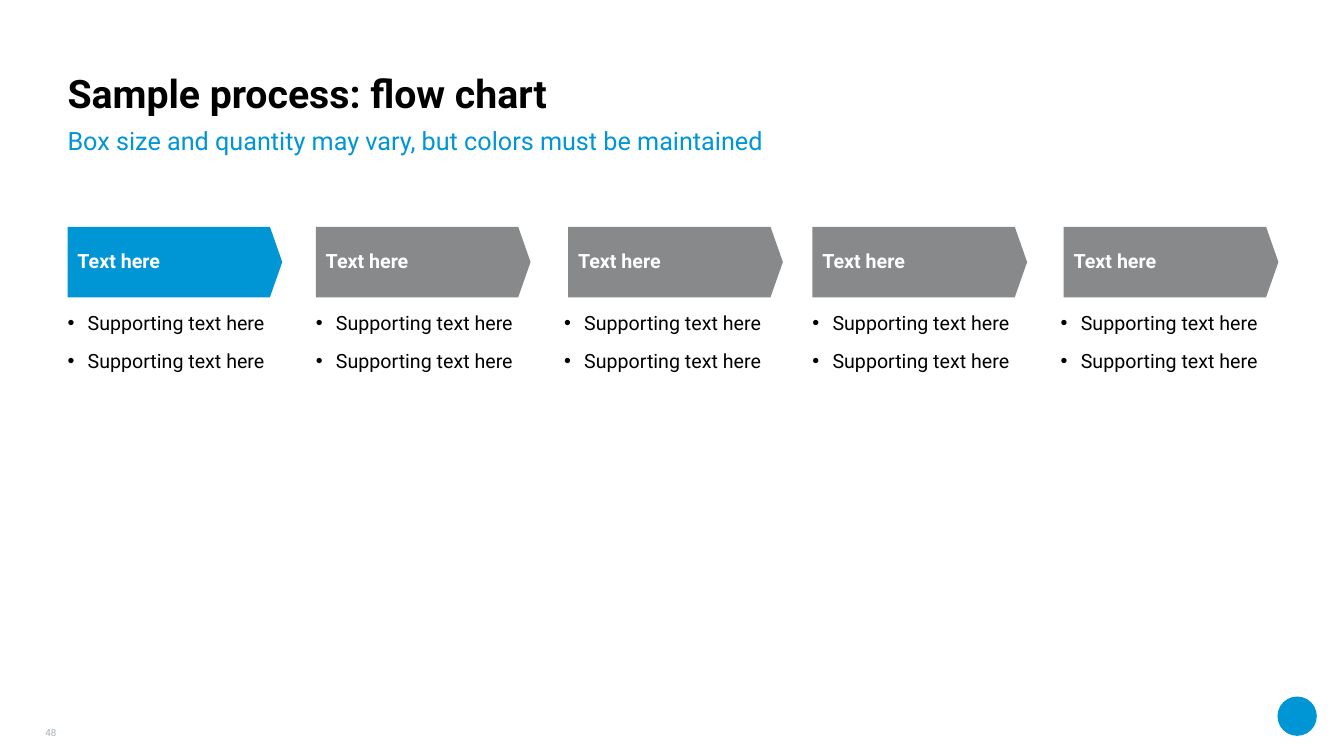
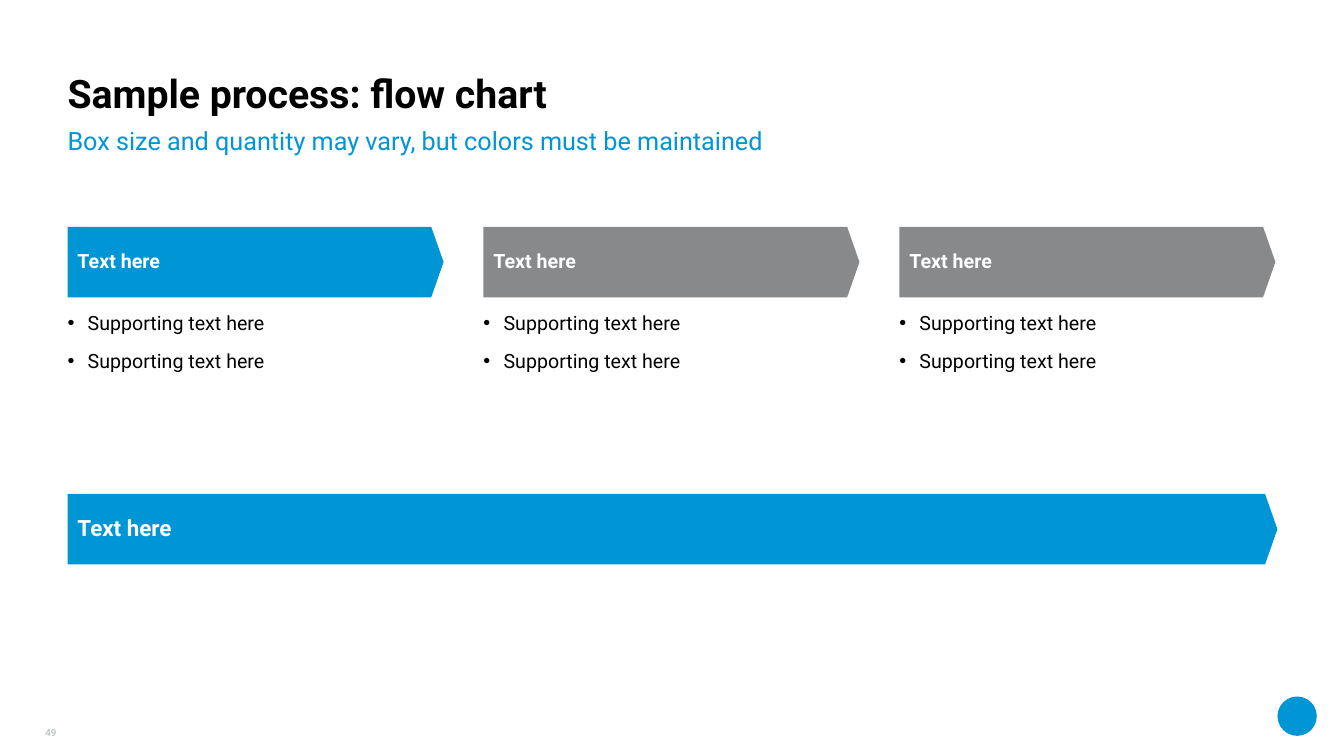
import pptx
import pptx.util
import pptx.dml.color
import pptx.enum.shapes
import pptx.enum.text
import pptx.oxml

Inches = pptx.util.Inches
Pt = pptx.util.Pt
Kind = pptx.enum.shapes.MSO_SHAPE
Align = pptx.enum.text.PP_ALIGN
Anchor = pptx.enum.text.MSO_ANCHOR

HUES = {"blue": "0096D6", "gray": "87898B", "black": "000000",
        "white": "FFFFFF", "pale": "A8B2B2"}
LEFT, RIGHT = 0.67, 12.65
TITLE = "Sample process: flow chart"
LEAD = "Box size and quantity may vary, but colors must be maintained"
LABEL = "Text here"
POINTS = ["Supporting text here"] * 2


def apply(item, values):
    for name, value in values.items():
        setattr(item, name, value)


def color(name):
    return pptx.dml.color.RGBColor.from_string(HUES[name])


class Deck:
    font = "Roboto"

    def __init__(self):
        self.prs = pptx.Presentation()
        apply(self.prs, {"slide_width": Inches(13.33),
                         "slide_height": Inches(7.5)})
        self.slide = None

    def label(self, shape, lines, size, hue, bold=False, anchor=Anchor.TOP,
              pad=(0, 0, 0, 0), form=None, mark=False):
        frame = shape.text_frame
        sides = ("margin_left", "margin_top", "margin_right", "margin_bottom")
        apply(frame, dict(zip(sides, map(Inches, pad))))
        apply(frame, {"word_wrap": True, "vertical_anchor": anchor,
                      "auto_size": pptx.enum.text.MSO_AUTO_SIZE.NONE})
        for row, line in enumerate(lines):
            para = frame.add_paragraph() if row else frame.paragraphs[0]
            if mark:
                self.bullet(para, hue)
            apply(para, {"alignment": Align.LEFT, **(form or {})})
            if row:
                para.space_before = Pt(12)
            run = para.add_run()
            run.text = line
            apply(run.font, {"name": self.font, "size": Pt(size),
                             "bold": bold})
            run.font.color.rgb = color(hue)

    def bullet(self, para, hue):
        props = para._p.get_or_add_pPr()
        props.set("marL", str(Inches(0.2)))
        props.set("indent", str(Inches(-0.2)))
        space = 'xmlns:a="http://schemas.openxmlformats.org/drawingml/2006/main"'
        for xml in (f'<a:buClr {space}><a:srgbClr val="{HUES[hue]}"/></a:buClr>',
                    f'<a:buFont {space} typeface="Arial"/>',
                    f'<a:buChar {space} char="•"/>'):
            props.append(pptx.oxml.parse_xml(xml))

    def text(self, box, lines, size, hue, **style):
        shape = self.slide.shapes.add_textbox(*map(Inches, box))
        self.label(shape, lines, size, hue, **style)

    def shape(self, kind, box, hue):
        shape = self.slide.shapes.add_shape(kind, *map(Inches, box))
        shape.shadow.inherit = False
        shape.fill.solid()
        shape.fill.fore_color.rgb = color(hue)
        shape.line.fill.background()
        return shape

    def arrow(self, left, top, width, hue, size=14):
        shape = self.shape(Kind.PENTAGON, (left, top, width, 0.7), hue)
        shape.adjustments[0] = 0.175
        self.label(shape, [LABEL], size, "white", bold=True,
                   anchor=Anchor.MIDDLE, pad=(0.1, 0.05, 0.25, 0.05),
                   form={"line_spacing": 0.9})

    def page(self, number):
        self.slide = self.prs.slides.add_slide(self.prs.slide_layouts[5])
        self.shape(Kind.OVAL, (12.67, 6.91, 0.39, 0.39), "blue")
        title = self.slide.shapes.title
        apply(title, {"left": Inches(LEFT), "top": Inches(0.33),
                      "width": Inches(12), "height": Inches(0.83)})
        self.label(title, [TITLE], 28, "black", bold=True,
                   anchor=Anchor.BOTTOM, form={"line_spacing": 0.9})
        self.text((LEFT, 1.24, 12, 0.28), [LEAD], 18, "blue")
        self.text((0.23, 7.09, 0.33, 0.24), [str(number)], 7, "pale",
                  anchor=Anchor.BOTTOM, form={"alignment": Align.RIGHT})

    def steps(self, width, height, shifts):
        pitch = (RIGHT - LEFT - width) / (len(shifts) - 1)
        for col, shift in enumerate(shifts):
            left = LEFT + col * pitch
            self.arrow(left + shift, 2.25, width, "gray" if col else "blue")
            self.text((left, 3.11, width, height), POINTS, 14, "black",
                      form={"line_spacing": 0.9}, mark=True)


def main():
    deck = Deck()
    deck.page(48)
    deck.steps(2.13, 3.53, (0, 0, 0.04, 0, 0.03))
    deck.page(49)
    deck.steps(3.73, 1.64, (0, 0, 0))
    deck.arrow(LEFT, 4.9, 12, "blue", size=16)
    deck.prs.save("out.pptx")


if __name__ == "__main__":
    main()
